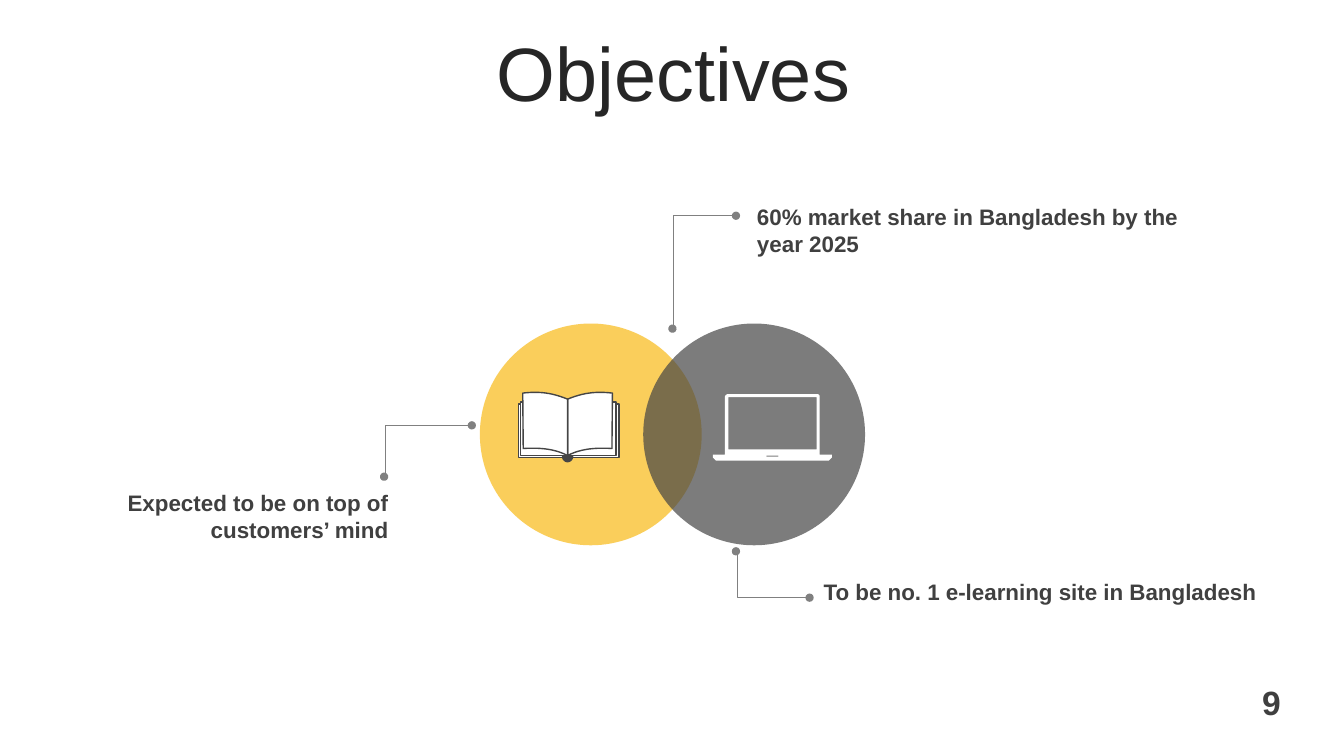
from lxml import etree
from pptx import Presentation
from pptx.dml.color import RGBColor
from pptx.enum import shapes, text
from pptx.oxml.ns import qn
from pptx.util import Inches, Pt

COLORS = {"title": "262626", "body": "404040", "number": "3F3F3F", "line": "808080",
          "yellow": "F8BA16", "dark": "454545", "white": "FFFFFF"}
FONT = "Arial"


def rgb(name):
    return RGBColor.from_string(COLORS[name])


def style(sp, fill, line=None, alpha=None):
    sp.shadow.inherit = False
    sp.fill.solid()
    sp.fill.fore_color.rgb = rgb(fill)
    if alpha:
        clr = sp._element.spPr.find(".//" + qn("a:srgbClr"))
        etree.SubElement(clr, qn("a:alpha"), val=str(alpha * 1000))
    if line:
        sp.line.color.rgb = rgb(line)
        sp.line.width = Pt(1)
    else:
        sp.line.fill.background()


def add_text(s, box, words, size, color, bold=False, align=text.PP_ALIGN.LEFT,
             anchor=text.MSO_ANCHOR.TOP, wrap=True):
    tf = s.shapes.add_textbox(*map(Inches, box)).text_frame
    tf.word_wrap = wrap
    tf.vertical_anchor = anchor
    tf.text = words
    p = tf.paragraphs[0]
    p.alignment = align
    font = p.runs[0].font
    font.name, font.size, font.bold = FONT, Pt(size), bold
    font.color.rgb = rgb(color)
    return tf


def add_callout_line(s, start, end, bend):
    """Elbow line with a dot at both ends; bend is the turn's share of the width."""
    line = s.shapes.add_connector(shapes.MSO_CONNECTOR.ELBOW, *map(Inches, start + end))
    line.line.color.rgb = rgb("line")
    line.line.width = Pt(0.5)
    spPr = line._element.spPr
    guides = spPr.find(qn("a:prstGeom")).get_or_add_avLst()
    etree.SubElement(guides, qn("a:gd"), name="adj1", fmla=f"val {round(bend * 100000)}")
    ln = spPr.find(qn("a:ln"))
    for tag in ("a:headEnd", "a:tailEnd"):
        etree.SubElement(ln, qn(tag), type="oval")
    etree.SubElement(spPr, qn("a:effectLst"))


def curve(a, b, c, d, steps=12):
    """Points of a cubic curve from a to d."""
    weights = [((1 - t) ** 3, 3 * t * (1 - t) ** 2, 3 * t * t * (1 - t), t ** 3)
               for t in (i / steps for i in range(steps + 1))]
    return [tuple(sum(w * q[k] for w, q in zip(ws, (a, b, c, d))) for k in (0, 1))
            for ws in weights]


def add_outline(group, origin, contours, fill, line=None):
    """Closed outlines, in inches from origin."""
    placed = [[(Inches(origin[0] + x), Inches(origin[1] + y)) for x, y in contour]
              for contour in contours]
    builder = group.shapes.build_freeform(*placed[0][0], scale=1.0)
    for i, contour in enumerate(placed):
        if i:
            builder.move_to(*contour[0])
        builder.add_line_segments(contour[1:], close=True)
    style(builder.convert_to_shape(), fill, line)


def rectangle(x, y, w, h):
    return [(x, y), (x, y + h), (x + w, y + h), (x + w, y)]


def add_circles(s, left, top, size, step):
    group = s.shapes.add_group_shape()
    for i, color in enumerate(("yellow", "dark")):
        sp = group.shapes.add_shape(shapes.MSO_SHAPE.OVAL, Inches(left + i * step),
                                    Inches(top), Inches(size), Inches(size))
        style(sp, color, alpha=70)


def add_book(s, left, top):
    group = s.shapes.add_group_shape()
    for x, y, w in ((0, 0.12, 1), (0.02, 0.1, 0.95)):
        sp = group.shapes.add_shape(shapes.MSO_SHAPE.RECTANGLE, Inches(left + x),
                                    Inches(top + y), Inches(w), Inches(0.53))
        style(sp, "white", "dark")
    spine = (left + 0.49, top)
    page = (curve((0, 0.07), (0.15, 0.01), (0.27, -0.01), (0.445, 0.01))
            + curve((0.44, 0.56), (0.29, 0.55), (0.13, 0.56), (0, 0.63)))
    for side in (1, -1):
        add_outline(group, spine, [[(side * x, y) for x, y in page]], "white", "dark")
    knob = (curve((0.05, 0.64), (0.05, 0.66), (0.03, 0.69), (0, 0.69))
            + curve((0, 0.69), (-0.03, 0.69), (-0.05, 0.66), (-0.05, 0.64))[1:])
    add_outline(group, spine, [knob], "dark", "dark")


def add_laptop(s, left, top):
    body = (curve((0.12, 0.03), (0.12, 0.01), (0.14, 0), (0.15, 0))
            + curve((1.03, 0), (1.05, 0), (1.06, 0.01), (1.06, 0.03))
            + [(1.06, 0.6), (1.18, 0.6), (1.18, 0.63), (1.15, 0.66),
               (0.03, 0.66), (0, 0.63), (0, 0.6), (0.12, 0.6)])
    screen = rectangle(0.155, 0.03, 0.875, 0.52)
    notch = rectangle(0.53, 0.61, 0.12, 0.01)
    add_outline(s, (left, top), [body, screen, notch], "white")


def add_callouts(s):
    right = text.PP_ALIGN.RIGHT
    callouts = [
        ("60% market share in Bangladesh by the year 2025", (7.41, 1.97, 4.53, 0.64),
         None, (7.3, 2.14), (6.67, 3.26), 0.99),
        ("To be no. 1 e-learning site in Bangladesh", (8.07, 5.69, 4.51, 0.64),
         None, (8.03, 5.93), (7.3, 5.47), 0.98),
        ("Expected to be on top of customers’ mind", (0.89, 4.8, 3.06, 0.64),
         right, (3.81, 4.73), (4.68, 4.22), 0.01),
    ]
    for words, box, align, start, end, bend in callouts:
        add_callout_line(s, start, end, bend)
        add_text(s, box, words, 16, "body", bold=True, align=align)


def add_title(s, box, words):
    tf = add_text(s, box, words, 54, "title", align=text.PP_ALIGN.CENTER,
                  anchor=text.MSO_ANCHOR.MIDDLE)
    tf.paragraphs[0].line_spacing = 0.9


def add_page_number(s, box, number):
    tf = add_text(s, box, str(number), 24, "number", bold=True,
                  align=text.PP_ALIGN.CENTER, anchor=text.MSO_ANCHOR.MIDDLE, wrap=False)
    tf.margin_top = tf.margin_bottom = Inches(0.1)


def main():
    prs = Presentation()
    prs.slide_width, prs.slide_height = Inches(13.33), Inches(7.5)
    s = prs.slides.add_slide(prs.slide_layouts[6])
    add_title(s, (0.35, 0.37, 12.66, 0.79), "Objectives")
    add_circles(s, 4.76, 3.21, 2.2, 1.62)
    add_callouts(s)
    add_book(s, 5.14, 3.89)
    add_laptop(s, 7.07, 3.91)
    add_page_number(s, (12.41, 6.67, 0.4, 0.6), 9)
    prs.save("out.pptx")


if __name__ == "__main__":
    main()
